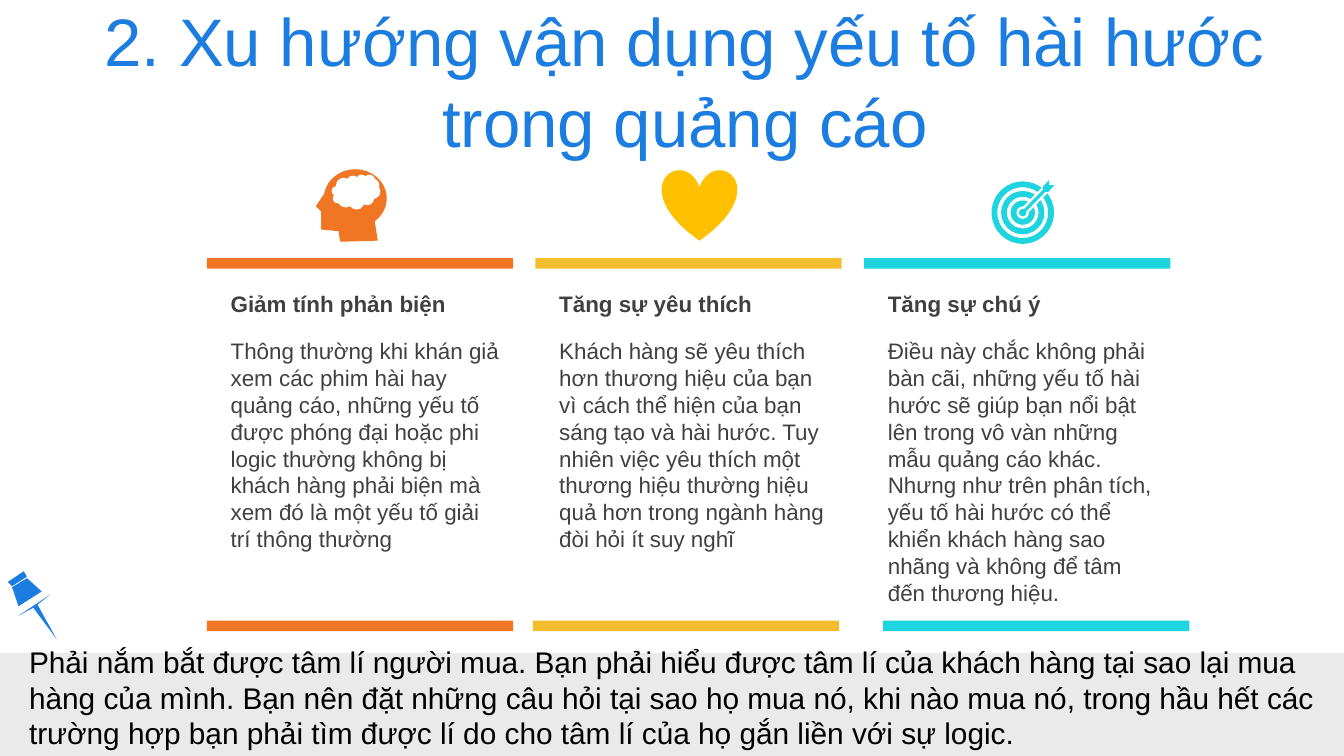
from dataclasses import dataclass
from lxml.etree import SubElement
from pptx import Presentation
from pptx.dml.color import RGBColor as Rgb
from pptx.enum.shapes import MSO_CONNECTOR as Link, MSO_SHAPE as Kind
from pptx.enum.text import MSO_ANCHOR as Anchor, PP_ALIGN as Align
from pptx.oxml.ns import qn
from pptx.util import Cm, Pt


@dataclass(frozen=True)
class Theme:
    font: str = "Arial"
    blue: str = "1C7DE1"
    orange: str = "F07624"
    gold: str = "F4BD2D"
    amber: str = "FFC000"
    teal: str = "1ED4DE"
    ink: str = "404040"
    black: str = "000000"
    gray: str = "EAEAEA"
    white: str = "FFFFFF"
    head: int = 36
    note: int = 16
    body: int = 12


THEME = Theme()
WIDE, HIGH = 25.4, 14.29
BAR = 0.2

FACE = [(0.2, 0.4), (0, 0.7), (0.1, 0.8), (0.1, 1.14), (0.43, 1.17),
        (0.46, 1.37), (1.17, 1.35), (1.1, 0.9)]
PIN = [
    [(0, 0.2), (0.3, 0), (0.36, 0.1), (0.08, 0.28)],
    [(0.08, 0.3), (0.36, 0.13), (0.64, 0.38), (0.2, 0.66)],
    [(0.2, 0.84), (0.8, 0.44), (0.56, 0.63), (0.92, 1.28), (0.48, 0.69)],
]
DART = [(0.97, 0.13), (1.09, 0), (1.09, 0.1), (1.19, 0.1), (1.07, 0.23), (0.97, 0.23)]


def tint(shape, color):
    shape.shadow.inherit = False
    shape.fill.solid()
    shape.fill.fore_color.rgb = Rgb.from_string(color)
    shape.line.fill.background()


def block(slide, kind, box, color):
    shape = slide.shapes.add_shape(kind, *map(Cm, box))
    tint(shape, color)
    return shape


def disc(slide, kind, center, size, color):
    x, y = center
    return block(slide, kind, (x - size / 2, y - size / 2, size, size), color)


def write(slide, text, box, size=THEME.body, color=THEME.ink, bold=False,
          align=Align.LEFT, anchor=Anchor.TOP):
    frame = slide.shapes.add_textbox(*map(Cm, box)).text_frame
    frame.word_wrap = True
    frame.vertical_anchor = anchor
    frame.text = text
    for para in frame.paragraphs:
        para.alignment = align
        font = para.font
        font.name, font.size, font.bold = THEME.font, Pt(size), bold
        font.color.rgb = Rgb.from_string(color)


def draw(slide, paths, left, top, color):
    first, *rest = [[(Cm(x), Cm(y)) for x, y in path] for path in paths]
    pen = slide.shapes.build_freeform(*first[0])
    pen.add_line_segments(first[1:])
    for points in rest:
        pen.move_to(*points[0])
        pen.add_line_segments(points[1:])
    tint(pen.convert_to_shape(Cm(left), Cm(top)), color)


def stroke(slide, start, end, color, width):
    line = slide.shapes.add_connector(Link.STRAIGHT, *map(Cm, start + end))
    line.line.color.rgb = Rgb.from_string(color)
    line.line.width = Cm(width)
    SubElement(line._element.spPr, qn("a:effectLst"))


def brain(slide, left, top):
    left += 2.06
    draw(slide, [FACE], left, top, THEME.orange)
    block(slide, Kind.OVAL, (left + 0.15, top, 1.19, 1.1), THEME.orange)
    block(slide, Kind.CLOUD, (left + 0.3, top + 0.1, 0.92, 0.66), THEME.white)


def heart(slide, left, top):
    block(slide, Kind.HEART, (left + 2.39, top, 1.42, 1.35), THEME.amber)


def target(slide, left, top):
    left, top = left + 2.41, top + BAR
    center = (left + 0.59, top + 0.62)
    for size in (1.18, 0.82, 0.46):
        ring = disc(slide, Kind.DONUT, center, size, THEME.teal)
        ring.adjustments[0] = 0.11 / size
    tip = (left + 1.02, top + 0.18)
    for color, width in ((THEME.white, 0.15), (THEME.teal, 0.06)):
        stroke(slide, center, tip, color, width)
    disc(slide, Kind.OVAL, center, 0.14, THEME.teal)
    draw(slide, [DART], left, top, THEME.teal)


def column(slide, box, icon, color, shift, head, body):
    left, top, width, height = box
    icon(slide, left, top)
    block(slide, Kind.RECTANGLE, (left, top + 1.68, width, BAR), color)
    block(slide, Kind.RECTANGLE, (left + shift, top + height - BAR, width, BAR), color)
    write(slide, head, (left + BAR, top + 2.16, 5.59, 0.77), bold=True)
    write(slide, body, (left + BAR, top + 3.05, 5.59, 5.2))


def title(slide, box):
    write(slide, "2. Xu hướng vận dụng yếu tố hài hước trong quảng cáo", box,
          size=THEME.head, color=THEME.blue, align=Align.CENTER, anchor=Anchor.MIDDLE)


def footer(slide, box):
    left, top, width, height = box
    block(slide, Kind.RECTANGLE, box, THEME.gray)
    draw(slide, PIN, left + 0.15, top - 1.54, THEME.blue)
    write(slide, "\n".join((
        "Phải nắm bắt được tâm lí người mua. Bạn phải hiểu được tâm lí của khách hàng tại sao lại mua",
        "hàng của mình. Bạn nên đặt những câu hỏi tại sao họ mua nó, khi nào mua nó, trong hầu hết các",
        "trường hợp bạn phải tìm được lí do cho tâm lí của họ gắn liền với sự logic.",
    )), (left + 0.3, top - 0.3, width - 0.3, height + 0.3),
        size=THEME.note, color=THEME.black)


COLUMNS = (
    (brain, THEME.orange, 0, "Giảm tính phản biện",
     "Thông thường khi khán giả xem các phim hài hay quảng cáo, những yếu tố được "
     "phóng đại hoặc phi logic thường không bị khách hàng phải biện mà xem đó là "
     "một yếu tố giải trí thông thường"),
    (heart, THEME.gold, -0.05, "Tăng sự yêu thích",
     "Khách hàng sẽ yêu thích hơn thương hiệu của bạn vì cách thể hiện của bạn "
     "sáng tạo và hài hước. Tuy nhiên việc yêu thích một thương hiệu thường hiệu "
     "quả hơn trong ngành hàng đòi hỏi ít suy nghĩ"),
    (target, THEME.teal, 0.36, "Tăng sự chú ý",
     "Điều này chắc không phải bàn cãi, những yếu tố hài hước sẽ giúp bạn nổi bật "
     "lên trong vô vàn những mẫu quảng cáo khác. Nhưng như trên phân tích, yếu tố "
     "hài hước có thể khiển khách hàng sao nhãng và không để tâm đến thương hiệu."),
)


def main():
    deck = Presentation()
    deck.slide_width, deck.slide_height = Cm(WIDE), Cm(HIGH)
    slide = deck.slides.add_slide(deck.slide_layouts[6])
    title(slide, (1.4, 0.28, 23.09, 2.46))
    for index, parts in enumerate(COLUMNS):
        column(slide, (3.91 + index * 6.21, 3.2, 5.79, 8.73), *parts)
    footer(slide, (0, 12.34, WIDE, HIGH - 12.34))
    deck.save("out.pptx")


if __name__ == "__main__":
    main()
